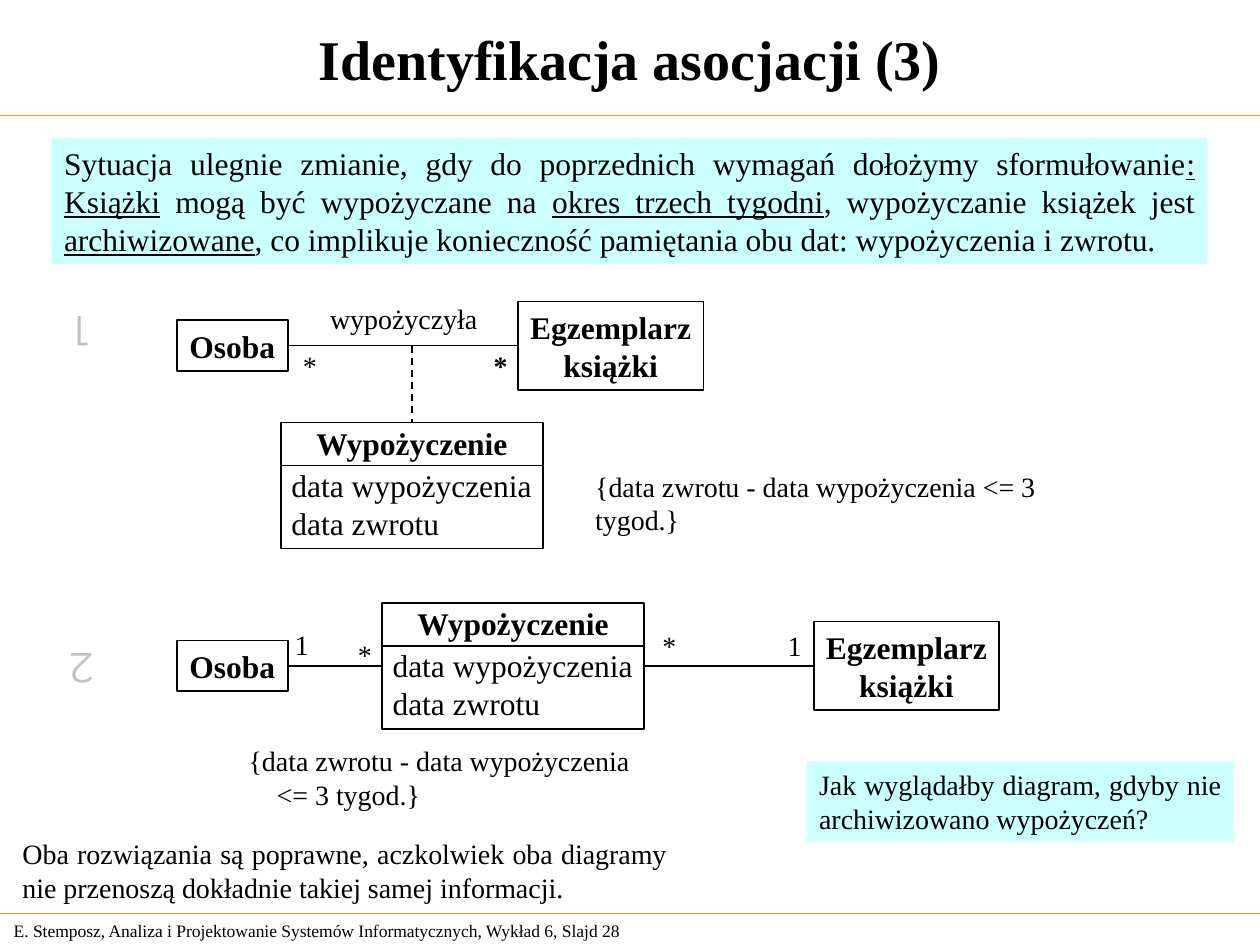
import pptx
import pptx.dml.color
import pptx.enum.dml
import pptx.enum.shapes
import pptx.enum.text
import pptx.oxml.ns
import pptx.util
from dataclasses import dataclass
from lxml import etree

Pt = pptx.util.Pt
ALIGN = pptx.enum.text.PP_ALIGN
ANCHOR = pptx.enum.text.MSO_ANCHOR
TOP, LEFT, BOTTOM, RIGHT = range(4)


@dataclass(frozen=True)
class Theme:
    font: str = "Times New Roman"
    number_font: str = "Montserrat"
    ink: str = "000000"
    rule: str = "FF9900"
    panel: str = "CCFFFF"
    number: str = "C0C0C0"
    title_size: int = 32
    number_size: int = 24
    body_size: int = 18
    label_size: int = 16
    footer_size: int = 10


T = Theme()


def rgb(value):
    return pptx.dml.color.RGBColor.from_string(value)


def write(sp, paragraphs, size=T.label_size, bold=False, align=ALIGN.LEFT,
          anchor=ANCHOR.TOP, wrap=False, font=T.font, color=T.ink, indent=0):
    """Each paragraph is a string or a list of (text, underlined) runs."""
    tf = sp.text_frame
    tf.word_wrap = wrap
    tf.vertical_anchor = anchor
    tf.margin_left = tf.margin_right = Pt(7.2)
    tf.margin_top = tf.margin_bottom = Pt(3.6)
    for i, runs in enumerate(paragraphs):
        p = tf.paragraphs[0] if i == 0 else tf.add_paragraph()
        p.alignment = align
        if i and indent:
            p._p.get_or_add_pPr().set("marL", str(Pt(indent)))
        for text, underlined in [(runs, False)] if isinstance(runs, str) else runs:
            r = p.add_run()
            r.text = text
            r.font.name, r.font.size, r.font.bold = font, Pt(size), bold
            r.font.underline = underlined
            r.font.color.rgb = rgb(color)
    return sp


def label(slide, paragraphs, x, y, w, h=26.5, **fmt):
    sp = slide.shapes.add_textbox(Pt(x), Pt(y), Pt(w), Pt(h))
    return write(sp, paragraphs, **fmt)


def rect(slide, x, y, w, h, fill=None):
    sp = slide.shapes.add_shape(pptx.enum.shapes.MSO_SHAPE.RECTANGLE,
                                Pt(x), Pt(y), Pt(w), Pt(h))
    sp.shadow.inherit = False
    if fill:
        sp.fill.solid()
        sp.fill.fore_color.rgb = rgb(fill)
        sp.line.fill.background()
    else:
        sp.fill.background()
        sp.line.color.rgb = rgb(T.ink)
        sp.line.width = Pt(1)
    return sp


def line(slide, x1, y1, x2, y2, color=T.ink, width=1, dashed=False,
         begin=None, end=None):
    c = slide.shapes.add_connector(pptx.enum.shapes.MSO_CONNECTOR.STRAIGHT,
                                   Pt(x1), Pt(y1), Pt(x2), Pt(y2))
    c.line.color.rgb = rgb(color)
    c.line.width = Pt(width)
    if dashed:
        c.line.dash_style = pptx.enum.dml.MSO_LINE.DASH
    etree.SubElement(c._element.spPr, pptx.oxml.ns.qn("a:effectLst"))
    if begin:
        c.begin_connect(*begin)
    if end:
        c.end_connect(*end)
    return c


def join(slide, left, right):
    """Association from the right side of one class to the left of the next."""
    return line(slide, 0, 0, 0, 0, begin=(left, RIGHT), end=(right, LEFT))


def simple_class(slide, names, x, axis, w, h):
    sp = rect(slide, x, axis - h / 2, w, h)
    return write(sp, names, size=T.body_size, bold=True,
                 align=ALIGN.CENTER, anchor=ANCHOR.MIDDLE)


def person(slide, x, axis):
    return simple_class(slide, ["Osoba"], x, axis, 63.5, 29)


def book_copy(slide, x, axis):
    return simple_class(slide, ["Egzemplarz", "książki"], x, axis, 106, 50.5)


def loan_class(slide, x, y):
    w, h = 150, 72
    sp = rect(slide, x, y, w, h)
    label(slide, ["Wypożyczenie"], x, y - 3, w, 29,
          size=T.body_size, bold=True, align=ALIGN.CENTER)
    label(slide, ["data wypożyczenia", "data zwrotu"], x - 1, y + 21.25, w + 2,
          50.5, size=T.body_size)
    line(slide, x, y + 24.5, x + w, y + 24.5)
    return sp


def number(slide, text, cx, cy):
    w, h = 30, 38
    sp = label(slide, [text], cx - w / 2, cy - h / 2, w, h, size=T.number_size,
               font=T.number_font, color=T.number, align=ALIGN.CENTER,
               anchor=ANCHOR.MIDDLE)
    sp.rotation = 180


def panel(slide, runs, x, y, w, h, size):
    write(rect(slide, x, y, w, h, T.panel), [runs], size=size,
          align=ALIGN.JUSTIFY, wrap=True)


def frame(slide, w, title_h, footer_y):
    # Title, rules and footer
    title = slide.shapes.title
    title.left, title.top, title.width, title.height = 0, 0, Pt(w), Pt(title_h)
    write(title, ["Identyfikacja asocjacji (3)"], size=T.title_size, bold=True,
          align=ALIGN.CENTER, anchor=ANCHOR.MIDDLE, wrap=True)
    for y in (title_h, footer_y):
        line(slide, 0, y, w, y, color=T.rule, width=0.75)
    label(slide, ["E. Stemposz, Analiza i Projektowanie Systemów "
                  "Informatycznych, Wykład 6, Slajd 28"],
          0.75, footer_y, 378, 19.5, size=T.footer_size, anchor=ANCHOR.MIDDLE)


def association_class_diagram(slide, x, axis):
    """Solution 1: the loan hangs on the association line."""
    number(slide, "1", x - 55, axis - 7)
    owner = person(slide, x, axis)
    book = book_copy(slide, x + 195, axis)
    join(slide, owner, book)
    loan = loan_class(slide, x + 59.5, axis + 44)
    middle = x + 134.5
    line(slide, middle, axis, middle, axis + 44, dashed=True, end=(loan, TOP))
    label(slide, ["wypożyczyła"], x + 80.5, axis - 29, 98.5)
    label(slide, ["*"], x + 65, axis - 2, 22)
    label(slide, ["*"], x + 174, axis - 2, 22, bold=True)
    label(slide, ["{data zwrotu - data wypożyczenia <= 3 tygod.}"],
          x + 232, axis + 67, 317.5)


def intermediate_class_diagram(slide, x, axis):
    """Solution 2: the loan stands between the two classes."""
    number(slide, "2", x - 54.5, axis + 2.5)
    owner = person(slide, x, axis)
    loan = loan_class(slide, x + 117.25, axis - 36)
    book = book_copy(slide, x + 364, axis)
    join(slide, owner, loan)
    join(slide, loan, book)
    for text, dx, dy in (("1", 60.5, -25.5), ("*", 96.5, -20),
                         ("*", 270.5, -25), ("1", 342, -25)):
        label(slide, [text], x + dx, axis + dy, 22)
    label(slide, ["{data zwrotu - data wypożyczenia", "<= 3 tygod.}"],
          x + 34, axis + 41, 236, 46, indent=16)


def main():
    prs = pptx.Presentation()
    prs.slide_width, prs.slide_height = Pt(720), Pt(540)
    slide = prs.slides.add_slide(prs.slide_layouts[5])
    frame(slide, 720, 66, 522)
    # Changed requirement
    panel(slide, [
        ("Sytuacja ulegnie zmianie, gdy do poprzednich wymagań dołożymy "
         "sformułowanie", False),
        (": Książki", True), (" mogą być wypożyczane na ", False),
        ("okres trzech tygodni", True), (", wypożyczanie książek jest ", False),
        ("archiwizowane", True),
        (", co implikuje konieczność pamiętania obu dat: wypożyczenia i zwrotu.",
         False)], 29.5, 79, 660.5, 72, T.body_size)
    # The two solutions
    association_class_diagram(slide, 101, 197.5)
    intermediate_class_diagram(slide, 101, 380.5)
    # Conclusion and question
    label(slide, ["Oba rozwiązania są poprawne, aczkolwiek oba diagramy nie "
                  "przenoszą dokładnie takiej samej informacji."],
          5.75, 474.5, 382.5, 46, align=ALIGN.JUSTIFY, wrap=True)
    panel(slide, "Jak wyglądałby diagram, gdyby nie archiwizowano wypożyczeń?",
          461, 435, 244, 46, T.label_size)
    prs.save("out.pptx")


if __name__ == "__main__":
    main()
